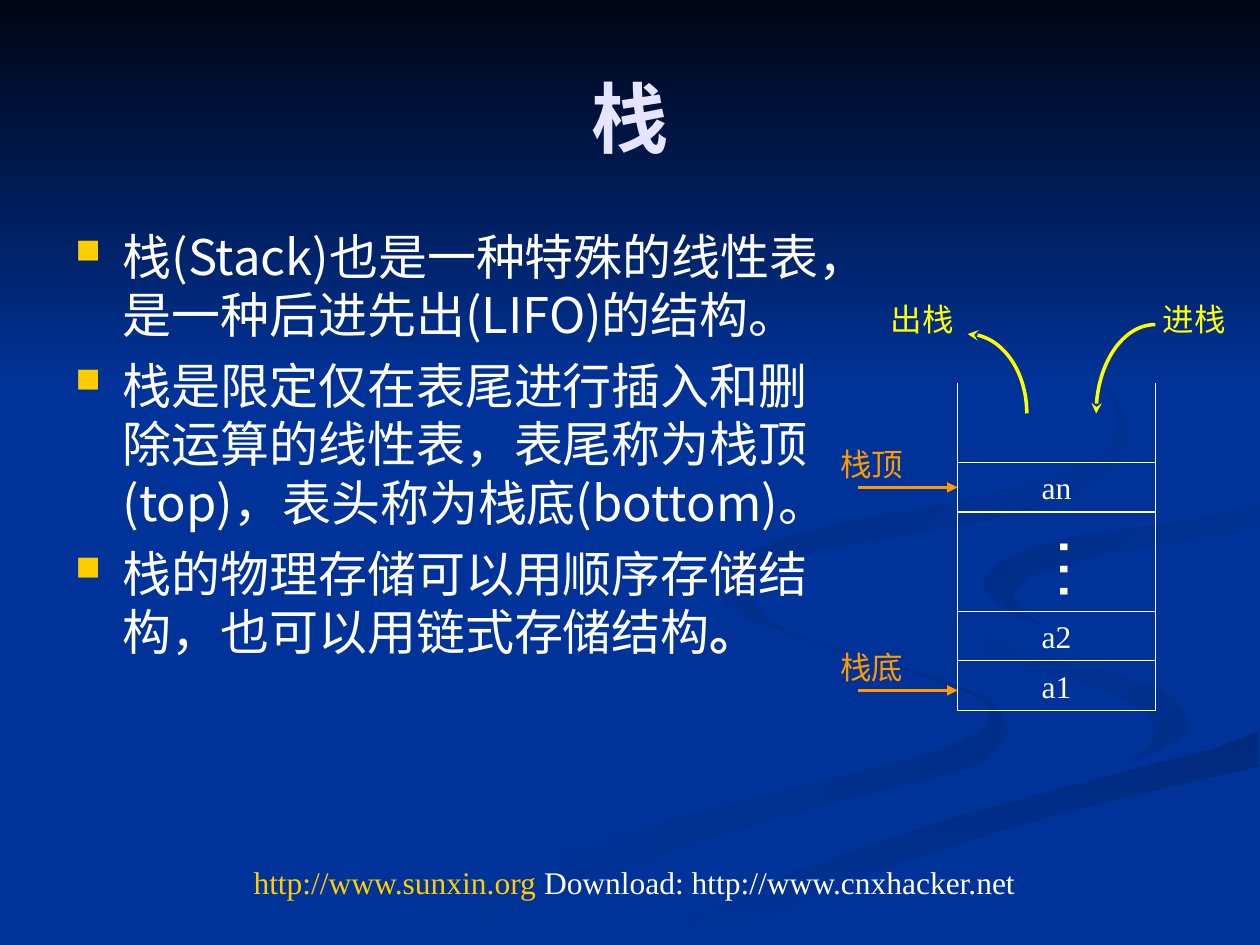
from math import cos, pi, sin

from lxml.etree import SubElement
from pptx import Presentation
from pptx.dml.color import RGBColor
from pptx.enum.shapes import MSO_CONNECTOR, MSO_SHAPE
from pptx.enum.text import MSO_ANCHOR, PP_ALIGN
from pptx.oxml.ns import qn
from pptx.util import Pt

BLUE = RGBColor(0x00, 0x33, 0x99)
NIGHT = RGBColor(0x00, 0x05, 0x14)
DUSK = RGBColor(0x00, 0x2E, 0x8B)
DEEP = RGBColor(0x00, 0x2A, 0x7D)
SHADE = RGBColor(0x00, 0x2D, 0x86)
TINT = RGBColor(0x00, 0x2B, 0x82)
LILAC = RGBColor(0xE5, 0xE5, 0xFF)
WHITE = RGBColor(0xFF, 0xFF, 0xFF)
GOLD = RGBColor(0xFF, 0xCC, 0x00)
ORANGE = RGBColor(0xFF, 0x99, 0x00)
YELLOW = RGBColor(0xFF, 0xFF, 0x00)
SANS = "Noto Sans CJK SC"
SERIF = "Times New Roman"

RIVER = [
    (562, 398), (536, 387), (491, 374), (462, 365), (442, 357), (423, 346), (415, 338),
    (414, 330), (410, 338), (415, 346), (427, 354), (454, 364), (489, 374), (524, 385),
    (549, 394), (562, 400), (566, 408), (562, 417), (546, 425), (523, 433), (492, 441),
    (444, 453), (388, 467), (330, 485), (271, 509), (216, 539), (260, 539), (310, 514),
    (359, 495), (406, 479), (449, 466), (503, 452), (544, 442), (562, 436), (572, 426),
    (576, 418), (572, 408), (566, 400)]
BEND = [
    (679, 410), (673, 401), (662, 394), (639, 385), (598, 374), (557, 362), (536, 353),
    (526, 345), (521, 334), (522, 341), (528, 351), (544, 364), (574, 377), (603, 386),
    (634, 395), (653, 405), (661, 418), (656, 427), (644, 436), (660, 430), (671, 424),
    (678, 418)]
BANK = [
    (374, 538), (362, 539), (411, 539), (432, 528), (467, 511), (500, 498), (541, 484),
    (591, 469), (650, 454), (719, 438), (719, 418), (693, 428), (650, 439), (598, 453),
    (550, 466), (501, 482), (454, 499), (410, 518)]
INLET = [
    (562, 331), (563, 338), (570, 344), (580, 351), (595, 357), (585, 351), (580, 343),
    (580, 337), (588, 330), (607, 323), (632, 316), (674, 309), (719, 302), (719, 289),
    (696, 294), (672, 299), (623, 305), (591, 312), (570, 322)]
SOURCE = [
    (492, 310), (532, 303), (566, 297), (594, 289), (616, 282), (631, 272), (640, 261),
    (644, 248), (641, 233), (634, 221), (615, 204), (591, 188), (568, 176), (549, 168),
    (580, 183), (609, 201), (626, 215), (637, 230), (640, 241), (635, 255), (620, 266),
    (598, 275), (549, 287), (487, 298), (450, 307), (430, 315), (418, 325), (415, 333),
    (420, 345), (435, 354), (448, 360), (437, 353), (428, 342), (429, 332), (442, 323),
    (467, 314)]
WAVES = [(RIVER, BLUE, DUSK, 0), (BEND, BLUE, DUSK, 45), (BANK, DEEP, BLUE, 90),
         (INLET, SHADE, BLUE, 45), (SOURCE, TINT, BLUE, 45)]
POINTS = [
    ["栈(Stack)也是一种特殊的线性表，是一种后进先出(LIFO)的结构。"],
    ["栈是限定仅在表尾进行插入和删除运算的线性表，表尾称为栈顶(top)，表头称为栈底(bottom)。"],
    ["栈的物理存储可以用顺序存储结构，也可以用链式存储结构", "。"]]


def style(para, size, color, name=SERIF):
    """Set the font of a paragraph, for Chinese text too."""
    font = para.font
    font.size, font.name = Pt(size), name
    font.color.rgb = color
    if name == SANS:
        SubElement(font._element, qn("a:ea"), typeface=name)


def write(slide, box, text, size, color, name=SERIF, align=PP_ALIGN.LEFT):
    """Add a wrapped text box with one paragraph and return its frame."""
    frame = slide.shapes.add_textbox(*map(Pt, box)).text_frame
    frame.word_wrap = True
    para = frame.paragraphs[0]
    para.text, para.alignment = text, align
    style(para, size, color, name)
    return frame


def blend(shape, first, last, angle):
    """Fill a shape with a two-colour gradient, angle clockwise."""
    shape.shadow.inherit = False
    shape.line.fill.background()
    shape.fill.gradient()
    shape.fill.gradient_angle = (360 - angle) % 360
    for stop, color in zip(shape.fill.gradient_stops, (first, last)):
        stop.color.rgb = color


def trace(slide, dots, close):
    """Build an outline through points."""
    spots = [(Pt(x), Pt(y)) for x, y in dots]
    form = slide.shapes.build_freeform(*spots[0], scale=1.0)
    form.add_line_segments(spots[1:], close=close)
    return form.convert_to_shape()


def stroke(shape, color, width, tip=None, end="a:tailEnd"):
    """Set the line of a shape, with an arrowhead if asked."""
    shape.line.color.rgb = color
    shape.line.width = Pt(width)
    if tip:
        SubElement(shape.line._get_or_add_ln(), qn(end), type=tip)


def link(slide, start, stop, color, width, tip=None):
    """Draw a straight line."""
    line = slide.shapes.add_connector(MSO_CONNECTOR.STRAIGHT, *map(Pt, start + stop))
    stroke(line, color, width, tip)
    SubElement(line._element.spPr, qn("a:effectLst"))


def arc(slide, hub, radii, turn, end):
    """Draw a quarter arc from the top of an ellipse to one side."""
    steps = 24
    angles = [pi / 2 * i / steps for i in range(steps + 1)]
    dots = [(hub[0] + turn * radii[0] * sin(a), hub[1] - radii[1] * cos(a)) for a in angles]
    curve = trace(slide, dots, False)
    curve.shadow.inherit = False
    curve.fill.background()
    stroke(curve, YELLOW, 2, "stealth", end)


def backdrop(slide, left, top, width, height):
    """Paint the ground, the waves and the dark sky."""
    slide.background.fill.solid()
    slide.background.fill.fore_color.rgb = BLUE
    for dots, first, last, angle in WAVES:
        wave = trace(slide, [(left + x, top + y) for x, y in dots], True)
        blend(wave, first, last, angle)
    sky = slide.shapes.add_shape(MSO_SHAPE.RECTANGLE, *map(Pt, (left, top, width, height)))
    blend(sky, NIGHT, BLUE, 90)


def heading(slide, *box):
    """Place the title."""
    frame = write(slide, box, "栈", 44, LILAC, SANS, PP_ALIGN.CENTER)
    frame.vertical_anchor = MSO_ANCHOR.MIDDLE
    frame.paragraphs[0].font.bold = True


def body(slide, *box):
    """Place the bulleted points."""
    frame = slide.shapes.add_textbox(*map(Pt, box)).text_frame
    frame.word_wrap = True
    for i, parts in enumerate(POINTS):
        para = frame.add_paragraph() if i else frame.paragraphs[0]
        for part in parts:
            para.add_run().text = part
        props = para._p.get_or_add_pPr()
        props.set("marL", str(Pt(27)))
        props.set("indent", str(Pt(-27)))
        tint = SubElement(props, qn("a:buClr"))
        SubElement(tint, qn("a:srgbClr"), val=str(GOLD))
        SubElement(props, qn("a:buSzPct"), val="70000")
        SubElement(props, qn("a:buChar"), char="■")
        para.line_spacing = Pt(33.4)
        if i:
            para.space_before = Pt(7)
        style(para, 28, WHITE, SANS)
    para.runs[-1].font.bold = True


def stack(slide, left, top, width, height):
    """Draw the open stack with its cells, pointers and moves."""
    right, base, unit = left + width, top + height, height / 6.6
    link(slide, (left, base), (right, base), WHITE, 0.75)
    for x in (left, right):
        link(slide, (x, top), (x, base), WHITE, 0.75)
    for text, level in (("a1", 1), ("a2", 2), ("an", 5)):
        spot = map(Pt, (left, base - level * unit, width, unit))
        cell = slide.shapes.add_shape(MSO_SHAPE.RECTANGLE, *spot)
        cell.shadow.inherit = False
        cell.fill.background()
        stroke(cell, WHITE, 0.75)
        frame = cell.text_frame
        frame.word_wrap = False
        frame.vertical_anchor = MSO_ANCHOR.MIDDLE
        para = frame.paragraphs[0]
        para.text, para.alignment = text, PP_ALIGN.CENTER
        style(para, 18, WHITE)
    dots = write(slide, (left + 40.3, top + 79.2, 62, 45.4), "…", 40, WHITE, "Arial")
    dots.margin_left = dots.margin_right = Pt(3.6)
    dots.margin_top = dots.margin_bottom = Pt(7.2)
    dots._txBody.bodyPr.set("vert", "eaVert")
    for text, y in (("栈底", base - 11.5), ("栈顶", base - 127.5)):
        link(slide, (left - 57, y), (left, y), ORANGE, 2, "triangle")
        write(slide, (left - 74, y - 28, 57, 28.8), text, 18, ORANGE)
    arc(slide, (left + 5.8, top + 17.3), (33.8, 45.4), 1, "a:headEnd")
    arc(slide, (right, top + 17.3), (33.8, 50.8), -1, "a:tailEnd")
    for text, x in (("出栈", left - 45.4), ("进栈", right - 2.9)):
        write(slide, (x, top - 51.1, 51.1, 28.8), text, 18, YELLOW)


def footer(slide, *box):
    """Place the web addresses."""
    frame = write(slide, box, "", 18, WHITE, align=PP_ALIGN.CENTER)
    para = frame.paragraphs[0]
    for text, color in (("http://www.sunxin.org", GOLD),
                        (" Download: http://www.cnxhacker.net", WHITE)):
        run = para.add_run()
        run.text = text
        run.font.color.rgb = color


def main():
    """Build the slide and save it."""
    deck = Presentation()
    deck.slide_width, deck.slide_height = Pt(720), Pt(540)
    slide = deck.slides.add_slide(deck.slide_layouts[6])
    backdrop(slide, 0, 0, 720, 222)
    heading(slide, 36, 21.6, 648, 90)
    body(slide, 36, 126, 448.5, 297.5)
    stack(slide, 547.2, 219, 113, 187)
    footer(slide, 127.5, 489.6, 470, 50.4)
    deck.save("out.pptx")


if __name__ == "__main__":
    main()
